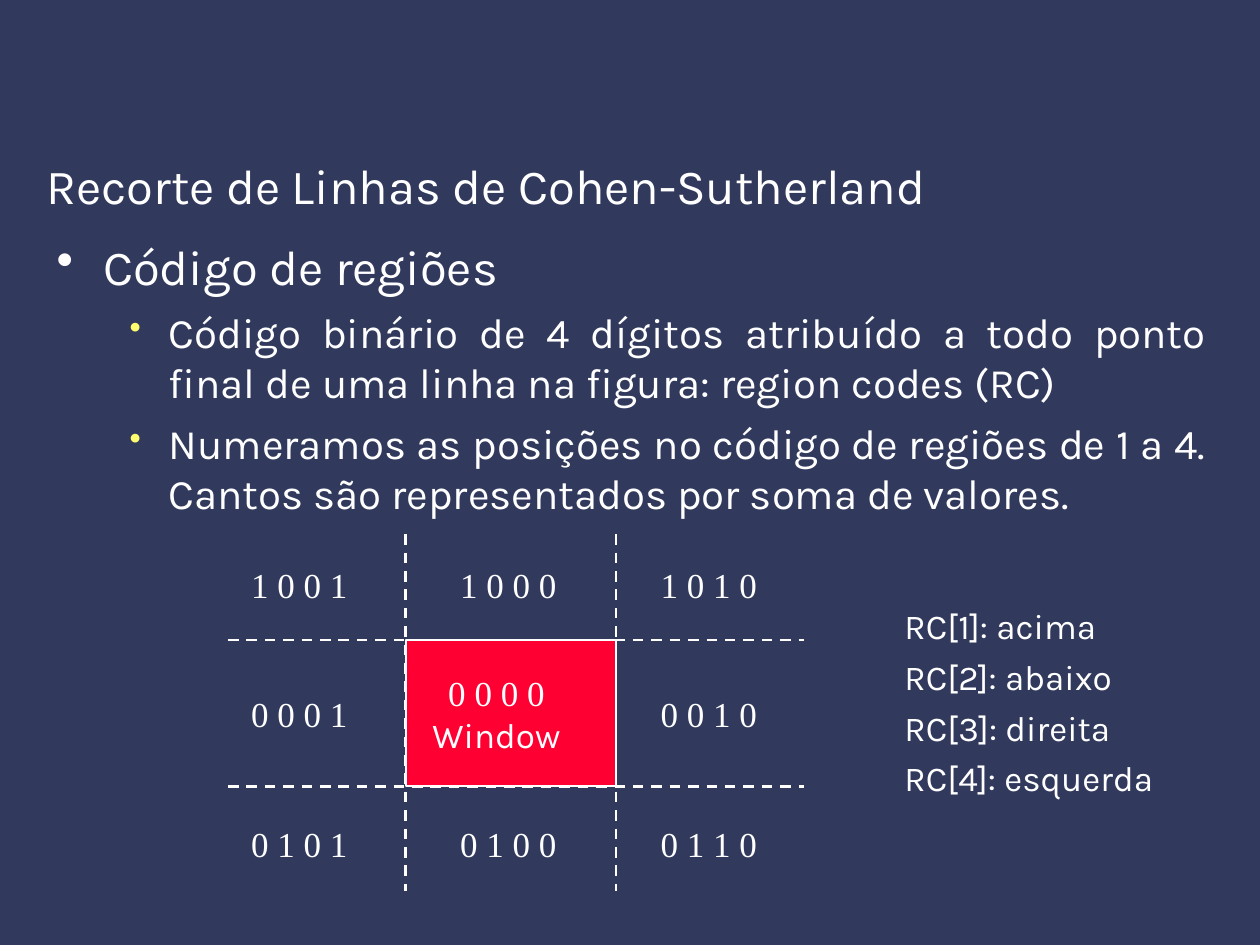
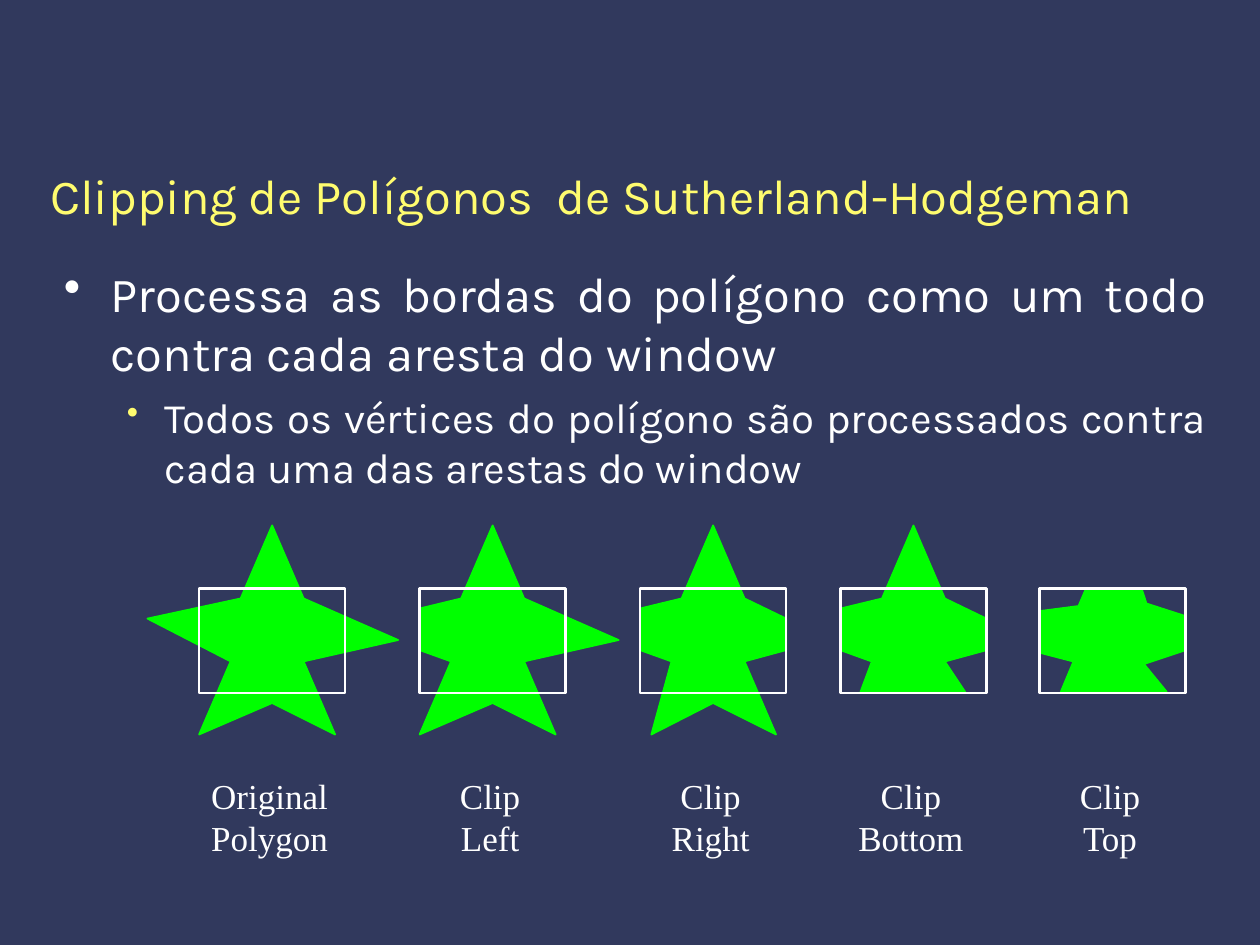
from lxml import etree
from pptx import Presentation
from pptx import util as u
from pptx.dml.color import RGBColor
from pptx.enum import dml, shapes, text
from pptx.oxml.ns import qn

COLORS = {
    "navy": "31395D",
    "white": "FFFFFF",
    "yellow": "FFFC6F",
    "red": "FF0033",
    "green": "00FF00",
}
BODY_FONT = "Karla"
LABEL_FONT = "Times New Roman"
CENTER = {"alignment": text.PP_ALIGN.CENTER}
BULLETS = [
    {"size": 28, "before": 7, "color": "white", "percent": 100},
    {"size": 24, "before": 6, "color": "yellow", "percent": 80},
]


def rgb(name):
    return RGBColor.from_string(COLORS[name])


def set_all(target, values):
    for name, value in values.items():
        setattr(target, name, value)


class SlideBuilder:
    """Holds the deck style and draws on the current slide."""

    def __init__(self):
        self.deck = Presentation()
        self.deck.slide_width = u.Inches(10)
        self.deck.slide_height = u.Inches(7.5)
        fill = self.deck.slide_master.background.fill
        fill.solid()
        fill.fore_color.rgb = rgb("navy")
        self.page = None

    def new_page(self):
        self.page = self.deck.slides.add_slide(self.deck.slide_layouts[6])

    def text_box(self, left, top, width, height, **frame_format):
        box = self.page.shapes.add_textbox(*map(u.Inches, (left, top, width, height)))
        set_all(box.text_frame, {"word_wrap": True, **frame_format})
        return box.text_frame

    def add_words(self, para, words, size=20, font=BODY_FONT, color="white", **para_format):
        set_all(para, para_format)
        span = para.add_run()
        span.text = words
        set_all(span.font, {"size": u.Pt(size), "name": font})
        span.font.color.rgb = rgb(color)

    def paragraphs(self, frame, count):
        return [frame.paragraphs[0]] + [frame.add_paragraph() for _ in range(count - 1)]

    def title(self, words, left, top, width, height, color="white"):
        frame = self.text_box(left, top, width, height,
                              vertical_anchor=text.MSO_ANCHOR.MIDDLE)
        self.add_words(frame.paragraphs[0], words, size=28, color=color)

    def bullet(self, para, level, margin, hanging):
        """Give a paragraph its bullet and a hanging indent."""
        style = BULLETS[level]
        props = para._p.get_or_add_pPr()
        props.set("marL", str(u.Inches(margin)))
        props.set("indent", str(-u.Inches(hanging)))
        color = etree.SubElement(props, qn("a:buClr"))
        etree.SubElement(color, qn("a:srgbClr"), val=COLORS[style["color"]])
        etree.SubElement(props, qn("a:buSzPct"), val=str(style["percent"] * 1000))
        etree.SubElement(props, qn("a:buChar"), char="•")

    def body(self, place, items, indents):
        """Add (level, words) items; indents gives margin and hanging by level."""
        frame = self.text_box(*place)
        for index, (para, (level, words)) in enumerate(
                zip(self.paragraphs(frame, len(items)), items)):
            self.bullet(para, level, *indents[level])
            style = BULLETS[level]
            self.add_words(para, words, size=style["size"], level=level,
                           alignment=text.PP_ALIGN.JUSTIFY,
                           space_before=u.Pt(style["before"] if index else 0))

    def label(self, left, top, width, height, lines):
        """Add centred (words, font) lines."""
        frame = self.text_box(left, top, width, height, word_wrap=False)
        for para, (words, font) in zip(self.paragraphs(frame, len(lines)), lines):
            self.add_words(para, words, font=font, **CENTER)

    def legend(self, place, lines):
        frame = self.text_box(*place)
        for index, (para, words) in enumerate(
                zip(self.paragraphs(frame, len(lines)), lines)):
            self.add_words(para, words, space_before=u.Pt(5 if index else 0))

    def paint(self, shape, fill, line, width):
        shape.shadow.inherit = False
        if fill:
            shape.fill.solid()
            shape.fill.fore_color.rgb = rgb(fill)
        else:
            shape.fill.background()
        shape.line.color.rgb = rgb(line)
        shape.line.width = u.Pt(width)

    def rectangle(self, left, top, width, height, fill=None, line_width=1.5):
        shape = self.page.shapes.add_shape(
            shapes.MSO_SHAPE.RECTANGLE, *map(u.Inches, (left, top, width, height)))
        self.paint(shape, fill, "white", line_width)

    def polygon(self, points, color):
        corners = [(u.Inches(x), u.Inches(y)) for x, y in points]
        builder = self.page.shapes.build_freeform(*corners[0])
        builder.add_line_segments(corners[1:], close=True)
        self.paint(builder.convert_to_shape(), color, color, 1)

    def dashed_line(self, *ends):
        line = self.page.shapes.add_connector(
            shapes.MSO_CONNECTOR.STRAIGHT, *map(u.Inches, ends))
        etree.SubElement(line._element.spPr, qn("a:effectLst"))
        line.line.color.rgb = rgb("white")
        set_all(line.line, {"width": u.Pt(1.5),
                            "dash_style": dml.MSO_LINE.DASH})


def region_codes(builder):
    builder.new_page()
    builder.title("Recorte de Linhas de Cohen-Sutherland", 0.27, 1.18, 8.5, 0.57)
    builder.body(
        (0.35, 1.83, 9.32, 5.25),
        [(0, "Código de regiões"),
         (1, "Código binário de 4 dígitos atribuído a todo ponto final de uma "
             "linha na figura: region codes (RC)"),
         (1, "Numeramos as posições no código de regiões de 1 a 4. Cantos são "
             "representados por soma de valores.")],
        [(0.37, 0.37), (0.89, 0.31)])

    left, right, top, bottom = 3.22, 4.89, 5.08, 6.24
    builder.rectangle(left, top, right - left, bottom - top, fill="red", line_width=1)
    for y in (top, bottom):
        builder.dashed_line(1.81, y, 6.38, y)
    for x in (left, right):
        builder.dashed_line(x, 4.24, x, 7.07)

    builder.label(3.33, 5.28, 1.22, 0.77,
                  [("0 0 0 0", LABEL_FONT), ("Window", BODY_FONT)])
    code_rows = [("1001", "1000", "1010"),
                 ("0001", None, "0010"),
                 ("0101", "0100", "0110")]
    for row, codes in enumerate(code_rows):
        for x, code in zip((1.89, 3.55, 5.14), codes):
            if code:
                builder.label(x, 4.42 + 1.03 * row, 0.97, 0.43,
                              [(" ".join(code), LABEL_FONT)])
    builder.legend((7.08, 4.75, 2.74, 1.64),
                   ["RC[1]: acima", "RC[2]: abaixo", "RC[3]: direita", "RC[4]: esquerda"])


def polygon_clipping(builder):
    builder.new_page()
    builder.title("Clipping de Polígonos  de Sutherland-Hodgeman",
                  0.3, 1.03, 8.95, 1.03, color="yellow")
    builder.body(
        (0.41, 2.04, 9.26, 5.04),
        [(0, "Processa as bordas do polígono como um todo contra cada aresta do window"),
         (1, "Todos os vértices do polígono são processados contra cada uma das "
             "arestas do window")],
        [(0.37, 0.37), (0.8, 0.3)])

    # Corners run counter-clockwise; x is measured from the window's left side.
    head = [(0.83, 4.75), (0.58, 4.17), (0.33, 4.75)]
    left_cut = [(0, 4.83), (0, 5.16), (0.25, 5.25)]
    right_cut = [(0.83, 5.25), (1.16, 5.16), (1.16, 4.91)]
    legs = [(0.58, 5.58), (1.08, 5.83)]
    right_arm = [(0.83, 5.25), (1.58, 5.08)]
    stages = [
        ("Original", "Polygon", 1.58,
         head + [(-0.41, 4.91), (0.25, 5.25), (0, 5.83)] + legs + right_arm),
        ("Clip", "Left", 3.33, head + left_cut + [(0, 5.83)] + legs + right_arm),
        ("Clip", "Right", 5.08, head + left_cut + [(0.09, 5.83)] + legs + right_cut),
        ("Clip", "Bottom", 6.67,
         head + left_cut + [(0.16, 5.49), (0.99, 5.49)] + right_cut),
        ("Clip", "Top", 8.25,
         [(0.81, 4.67), (0.37, 4.67), (0.31, 4.81), (0, 4.85), (0, 5.18),
          (0.27, 5.25), (0.17, 5.49), (1.01, 5.49), (0.83, 5.27), (1.16, 5.16),
          (1.16, 4.89), (0.85, 4.79)]),
    ]
    for first, second, left, corners in stages:
        builder.polygon([(left + x, y) for x, y in corners], "green")
        builder.rectangle(left, 4.67, 1.16, 0.83)
        builder.label(left - 0.04, 6.1, 1.2, 0.77,
                      [(first, LABEL_FONT), (second, LABEL_FONT)])


def main():
    builder = SlideBuilder()
    region_codes(builder)
    polygon_clipping(builder)
    builder.deck.save("out.pptx")


if __name__ == "__main__":
    main()
